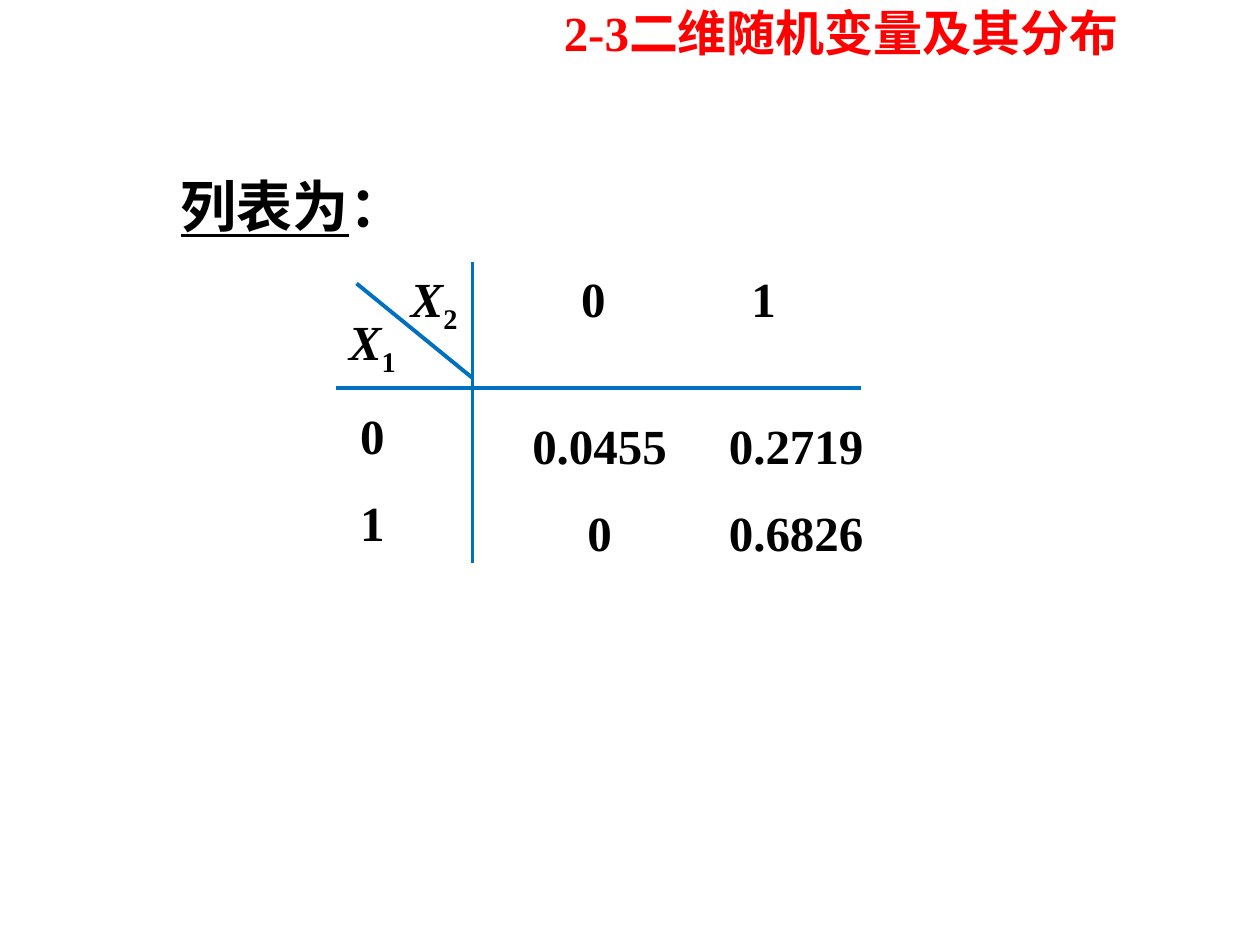
from lxml.etree import SubElement
from pptx import Presentation
from pptx.dml.color import RGBColor
from pptx.enum.shapes import MSO_CONNECTOR as Connector
from pptx.enum.text import MSO_ANCHOR as Anchor, MSO_AUTO_SIZE as AutoSize, PP_ALIGN as Align
from pptx.oxml.ns import qn
from pptx.util import Inches, Pt

BLACK = RGBColor(0x00, 0x00, 0x00)
RED = RGBColor(0xFF, 0x00, 0x00)
BLUE = RGBColor(0x00, 0x70, 0xC0)
BASE_FONT = {"name": "Times New Roman", "size": Pt(28), "bold": True}


def add_run(paragraph, text, color=BLACK, baseline=None, **formats):
    """Add a run with the slide's font and the given format values."""
    run = paragraph.add_run()
    run.text = text
    for name, value in {**BASE_FONT, **formats}.items():
        setattr(run.font, name, value)
    run.font.color.rgb = color
    if baseline:
        run.font._element.set("baseline", str(baseline))


def add_variable(paragraph, index):
    """Add an italic X with a subscript index."""
    add_run(paragraph, "X", italic=True)
    add_run(paragraph, index, baseline=-25000)


def add_text_box(slide, box, align=Align.CENTER, lines=1, inset=0.1):
    """Add a wrapping text box and return its spaced paragraphs."""
    frame = slide.shapes.add_textbox(*map(Inches, box)).text_frame
    frame.word_wrap = True
    frame.margin_left = Inches(inset)
    paragraphs = [frame.paragraphs[0]] + [frame.add_paragraph() for _ in range(lines - 1)]
    for paragraph in paragraphs:
        paragraph.alignment = align
    for paragraph in paragraphs[1:]:
        paragraph.space_before = Pt(16)
    return paragraphs


def set_center_tabs(paragraph, positions):
    """Set centred tab stops at distances from the text edge."""
    tabs = SubElement(paragraph._p.get_or_add_pPr(), qn("a:tabLst"))
    for position in positions:
        SubElement(tabs, qn("a:tab"), pos=str(Inches(position)), algn="ctr")


def add_title(slide, box):
    """Place the red section title."""
    title = slide.shapes.title
    title.left, title.top, title.width, title.height = map(Inches, box)
    frame = title.text_frame
    formats = {"word_wrap": True, "auto_size": AutoSize.NONE, "vertical_anchor": Anchor.TOP}
    for name, value in formats.items():
        setattr(frame, name, value)
    paragraph = frame.paragraphs[0]
    paragraph.alignment = Align.CENTER
    add_run(paragraph, "2-3二维随机变量及其分布", RED)


def add_caption(slide, box):
    """Place the underlined caption above the distribution."""
    paragraph, = add_text_box(slide, box)
    add_run(paragraph, "列表为", size=Pt(32), underline=True)
    add_run(paragraph, "：", size=Pt(32))


def add_rule(slide, start, end):
    """Draw a blue rule between two points."""
    points = map(Inches, (*start, *end))
    line = slide.shapes.add_connector(Connector.STRAIGHT, *points)
    line.line.color.rgb = BLUE
    line.line.width = Pt(2.25)
    SubElement(line._element.spPr, qn("a:effectLst"))


def add_distribution(slide, box):
    """Place the joint distribution with its headings, rules and values."""
    left, top, width, height = box
    axis_x, axis_y = left + 1.08, top + 1

    row_heads = add_text_box(slide, (left - 0.09, top + 0.34, 0.75, 1.97), lines=3)
    add_variable(row_heads[0], "1")
    for paragraph, value in zip(row_heads[1:], "01"):
        add_run(paragraph, value)

    column_head, = add_text_box(slide, (left + 0.38, top, 3.33, 0.57), Align.LEFT, inset=0.21)
    set_center_tabs(column_head, (1.45, 2.8))
    add_variable(column_head, "2")
    add_run(column_head, "\t0\t1")

    add_rule(slide, (left, axis_y), (left + width, axis_y))
    add_rule(slide, (axis_x, top), (axis_x, top + height))
    add_rule(slide, (left + 0.16, top + 0.17), (axis_x, top + 0.92))

    rows = (("0.0455", "0.2719"), ("0", "0.6826"))
    value_box = (left + 1.33, top + 1.17, 3.08, 1.27)
    for paragraph, row in zip(add_text_box(slide, value_box, Align.LEFT, len(rows)), rows):
        set_center_tabs(paragraph, (0.66, 2.22))
        add_run(paragraph, "".join(f"\t{value}" for value in row))


def main():
    """Build and save the slide."""
    presentation = Presentation()
    presentation.slide_width = Inches(10)
    presentation.slide_height = Inches(7.5)
    slide = presentation.slides.add_slide(presentation.slide_layouts[5])
    add_caption(slide, (0.83, 1.31, 2.99, 0.63))
    add_distribution(slide, (2.67, 2.08, 4.16, 2.39))
    add_title(slide, (4.35, -0.03, 4.65, 0.57))
    presentation.save("out.pptx")


if __name__ == "__main__":
    main()
